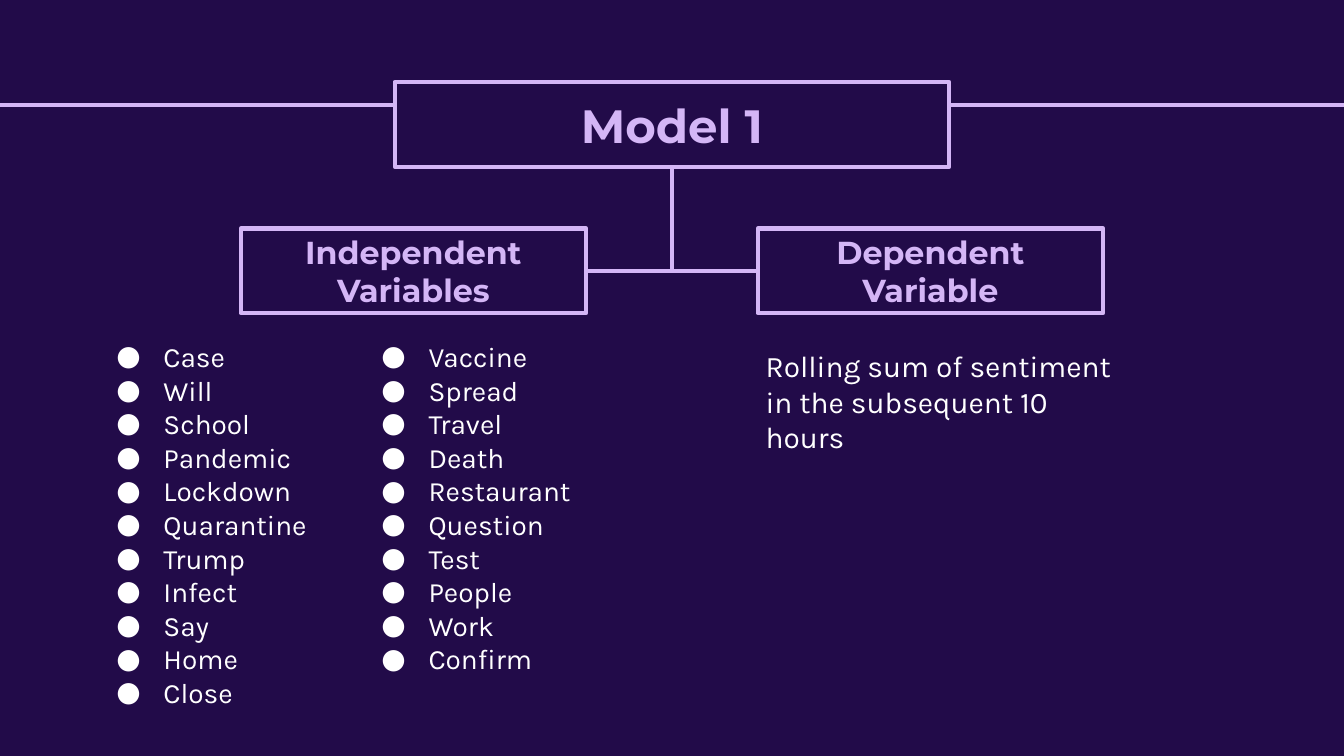
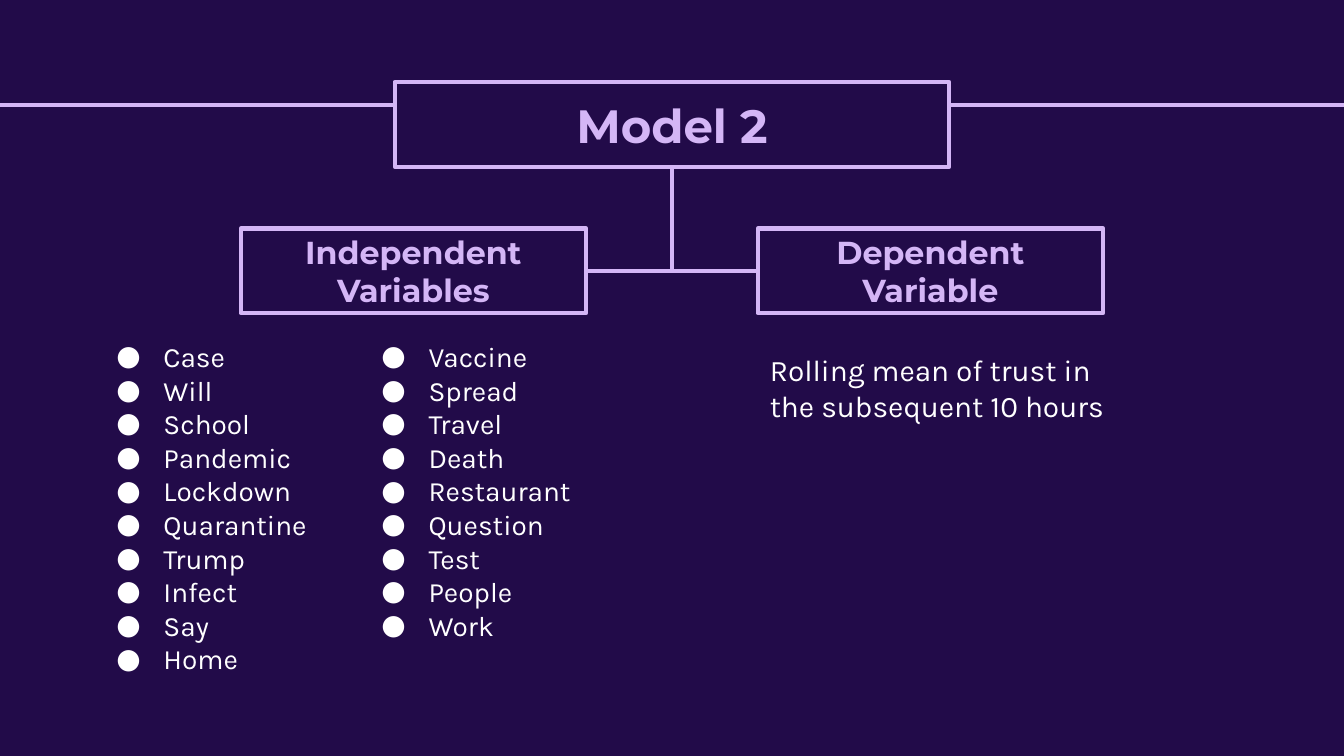
from dataclasses import dataclass

from lxml import etree
from pptx import Presentation
from pptx.dml.color import RGBColor
from pptx.enum.shapes import MSO_CONNECTOR, MSO_SHAPE
from pptx.enum.text import MSO_ANCHOR, MSO_AUTO_SIZE, PP_ALIGN
from pptx.oxml.ns import qn
from pptx.util import Cm, Pt

STRAIGHT = MSO_CONNECTOR.STRAIGHT
RECTANGLE = MSO_SHAPE.RECTANGLE
MIDDLE, TOP = MSO_ANCHOR.MIDDLE, MSO_ANCHOR.TOP
CENTER, LEFT = PP_ALIGN.CENTER, PP_ALIGN.LEFT
NO_AUTOFIT = MSO_AUTO_SIZE.NONE
LEFT_SIDE, BOTTOM_SIDE, RIGHT_SIDE = 1, 2, 3
TITLE_ONLY = 5


@dataclass(frozen=True)
class Theme:
    """Colours, fonts and sizes that all slides share."""

    background: str = "220B49"
    accent: str = "D4B6F6"
    text: str = "FFFFFF"
    heading_font: str = "Montserrat"
    body_font: str = "Karla"
    title_size: float = 25
    heading_size: float = 17
    list_size: float = 15
    body_size: float = 16
    line_width: float = 2.25


THEME = Theme()
SLIDE_WIDTH, SLIDE_HEIGHT = Cm(25.4), Cm(14.29)
INSET = Cm(0.25)
BOX_HEIGHT = Cm(1.6)
TITLE_TOP, TITLE_WIDTH = Cm(1.55), Cm(10.48)
RULE_TOP = Cm(1.98)
HEADING_LEFT, HEADING_TOP, HEADING_WIDTH = Cm(4.55), Cm(4.32), Cm(6.53)
LIST_TOP, LIST_WIDTH = Cm(6.17), Cm(7.16)
LIST_COLUMNS = ((Cm(1.57), Cm(6.96)), (Cm(6.58), Cm(6.38)))
OUTCOME_HEIGHT = Cm(4.04)

FIRST_WORDS = ["Case", "Will", "School", "Pandemic", "Lockdown", "Quarantine",
               "Trump", "Infect", "Say", "Home"]
SECOND_WORDS = ["Vaccine", "Spread", "Travel", "Death", "Restaurant", "Question",
                "Test", "People", "Work"]
MODELS = [
    {
        "title": "Model 1",
        "columns": (FIRST_WORDS + ["Close"], SECOND_WORDS + ["Confirm"]),
        "outcome": "Rolling sum of sentiment in the subsequent 10 hours",
        "outcome_place": (Cm(14.22), Cm(6.32), Cm(7.16)),
    },
    {
        "title": "Model 2",
        "columns": (FIRST_WORDS, SECOND_WORDS),
        "outcome": "Rolling mean of trust in the subsequent 10 hours",
        "outcome_place": (Cm(14.3), Cm(6.4), Cm(7.01)),
    },
]


def set_text(shape, text, font, size, color, bold=False, align=LEFT, anchor=TOP):
    """Fill a shape with text and format every run alike."""
    frame = shape.text_frame
    frame.text = text
    frame.word_wrap = True
    frame.auto_size = NO_AUTOFIT
    frame.vertical_anchor = anchor
    frame.margin_left = frame.margin_right = INSET
    frame.margin_top = frame.margin_bottom = INSET
    for paragraph in frame.paragraphs:
        paragraph.alignment = align
        for run in paragraph.runs:
            run.font.name = font
            run.font.size = Pt(size)
            run.font.bold = bold
            run.font.color.rgb = RGBColor.from_string(color)


def style_line(line):
    """Give a line the accent colour and the shared width."""
    line.color.rgb = RGBColor.from_string(THEME.accent)
    line.width = Pt(THEME.line_width)


def style_box(shape, text, size):
    """Format a shape as an outlined heading box."""
    shape.fill.solid()
    shape.fill.fore_color.rgb = RGBColor.from_string(THEME.background)
    style_line(shape.line)
    set_text(shape, text, THEME.heading_font, size, THEME.accent,
             bold=True, align=CENTER, anchor=MIDDLE)


def add_line(slide, start, end):
    """Draw a straight line without a shadow."""
    connector = slide.shapes.add_connector(STRAIGHT, *start, *end)
    style_line(connector.line)
    etree.SubElement(connector.element.spPr, qn("a:effectLst"))
    return connector


def place_title(slide, text):
    """Move the title to the top centre, in front of the rule."""
    title = slide.shapes.title
    title.left, title.top = (SLIDE_WIDTH - TITLE_WIDTH) // 2, TITLE_TOP
    title.width, title.height = TITLE_WIDTH, BOX_HEIGHT
    style_box(title, text, THEME.title_size)
    title.element.getparent().append(title.element)
    return title


def add_heading(slide, left, text):
    """Add a column heading box."""
    shape = slide.shapes.add_shape(RECTANGLE, left, HEADING_TOP, HEADING_WIDTH, BOX_HEIGHT)
    shape.shadow.inherit = False
    style_box(shape, text, THEME.heading_size)
    return shape


def add_tree(slide, title, independent, dependent):
    """Join the title to both headings with a T-shaped branch."""
    start = (title.left + title.width // 2, title.top + title.height)
    branch_top = independent.top + independent.height // 2
    stem = add_line(slide, start, (start[0], branch_top))
    stem.begin_connect(title, BOTTOM_SIDE)
    branch = add_line(slide, (independent.left + independent.width, branch_top),
                      (dependent.left, branch_top))
    branch.begin_connect(independent, RIGHT_SIDE)
    branch.end_connect(dependent, LEFT_SIDE)


def add_bullet(paragraph):
    """Give a paragraph a hanging round bullet."""
    properties = paragraph._p.get_or_add_pPr()
    properties.set("marL", str(Cm(1.27)))
    properties.set("indent", str(Cm(-0.89)))
    color = etree.SubElement(properties, qn("a:buClr"))
    etree.SubElement(color, qn("a:srgbClr"), val=THEME.text)
    etree.SubElement(properties, qn("a:buFont"), typeface=THEME.body_font)
    etree.SubElement(properties, qn("a:buChar"), char="●")


def add_body(slide, place, text, size):
    """Add a plain text box in the body style."""
    box = slide.shapes.add_textbox(*place)
    set_text(box, text, THEME.body_font, size, THEME.text)
    return box


def add_word_list(slide, left, height, words):
    """Add one bulleted column of words."""
    box = add_body(slide, (left, LIST_TOP, LIST_WIDTH, height),
                   "\n".join(words), THEME.list_size)
    for paragraph in box.text_frame.paragraphs:
        add_bullet(paragraph)


def add_model_slide(presentation, model):
    """Build the slide of one model."""
    slide = presentation.slides.add_slide(presentation.slide_layouts[TITLE_ONLY])
    background = slide.background.fill
    background.solid()
    background.fore_color.rgb = RGBColor.from_string(THEME.background)
    add_line(slide, (0, RULE_TOP), (SLIDE_WIDTH, RULE_TOP))
    title = place_title(slide, model["title"])
    independent = add_heading(slide, HEADING_LEFT, "Independent Variables")
    dependent = add_heading(slide, SLIDE_WIDTH - HEADING_LEFT - HEADING_WIDTH,
                            "Dependent Variable")
    add_tree(slide, title, independent, dependent)
    for (left, height), words in zip(LIST_COLUMNS, model["columns"]):
        add_word_list(slide, left, height, words)
    outcome = add_body(slide, (*model["outcome_place"], OUTCOME_HEIGHT),
                       model["outcome"], THEME.body_size)
    outcome.text_frame.paragraphs[0].space_after = Pt(16)


def main():
    """Build and save the presentation."""
    presentation = Presentation()
    presentation.slide_width, presentation.slide_height = SLIDE_WIDTH, SLIDE_HEIGHT
    for model in MODELS:
        add_model_slide(presentation, model)
    presentation.save("out.pptx")


if __name__ == "__main__":
    main()
